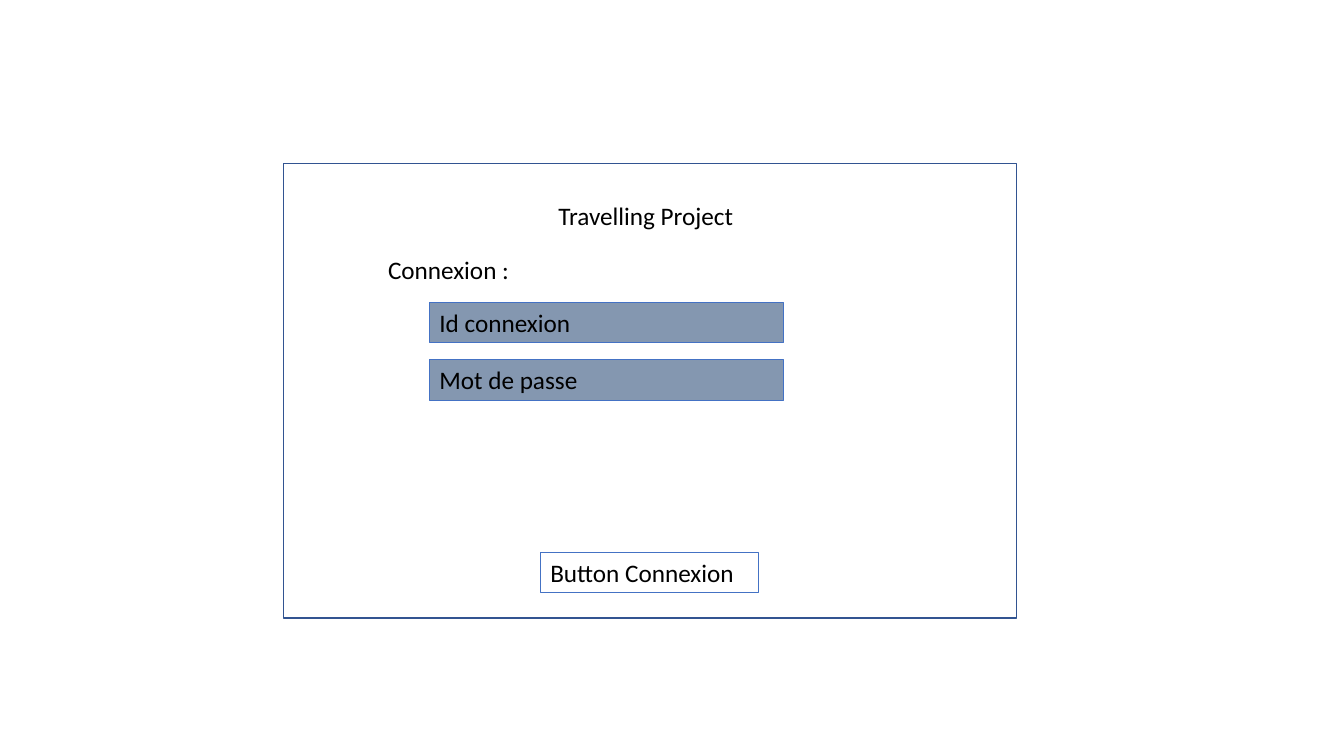
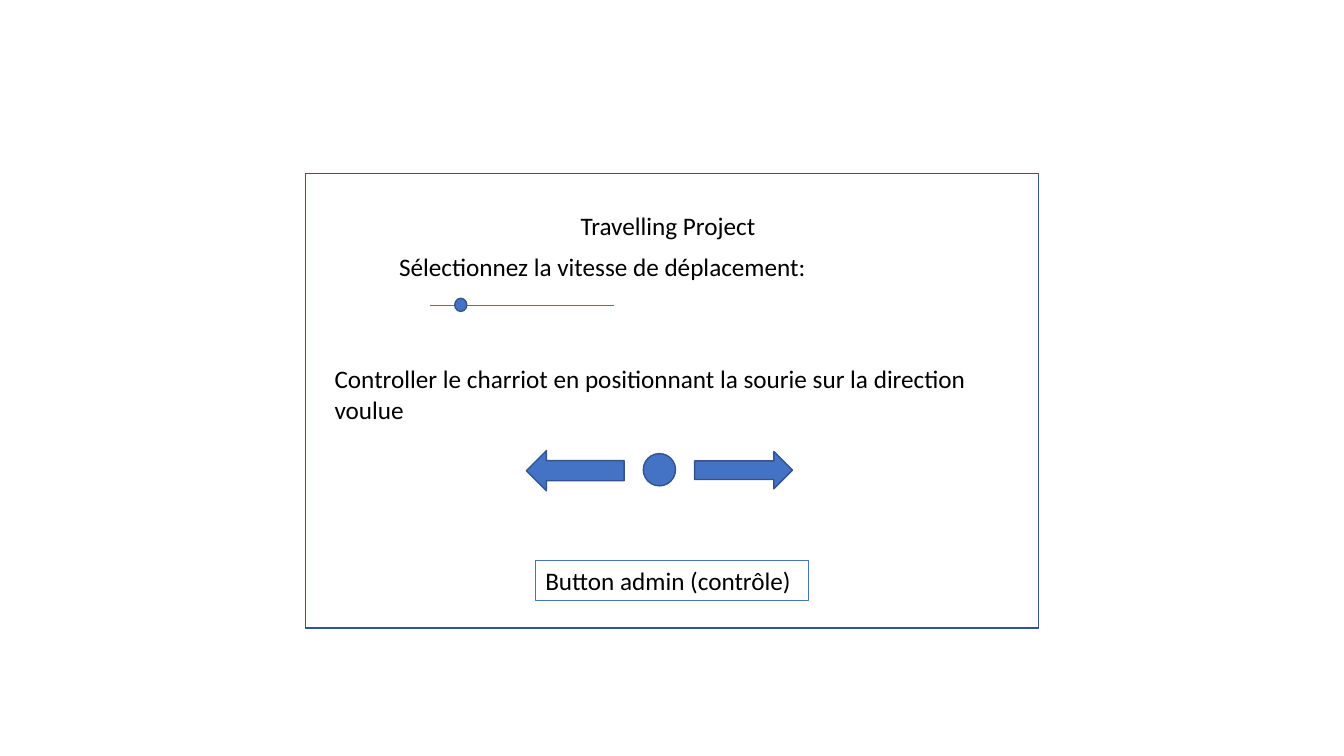
from pptx import Presentation
from pptx.dml.color import RGBColor
from pptx.enum.shapes import MSO_CONNECTOR, MSO_SHAPE
from pptx.enum.text import MSO_AUTO_SIZE
from pptx.oxml.ns import qn
from pptx.util import Inches, Pt
from lxml import etree

RECT = MSO_SHAPE.RECTANGLE
OVAL = MSO_SHAPE.OVAL
LEFT = MSO_SHAPE.LEFT_ARROW
RIGHT = MSO_SHAPE.RIGHT_ARROW
LINE = MSO_CONNECTOR.STRAIGHT
GROW = MSO_AUTO_SIZE.SHAPE_TO_FIT_TEXT

WHITE, BLACK = "FFFFFF", "000000"
BLUE, NAVY, SLATE = "4472C4", "325491", "8497B0"
FONT, SIZE, ROW = "Calibri", 18, 0.4

rgb = RGBColor.from_string


def draw(slide, kind, x, y, w, h, fill):
    shape = slide.shapes.add_shape(kind, Inches(x), Inches(y), Inches(w), Inches(h))
    shape.shadow.inherit = False
    shape.fill.solid()
    shape.fill.fore_color.rgb = rgb(fill)
    shape.line.color.rgb = rgb(NAVY)
    shape.line.width = Pt(1)


def write(slide, text, x, y, w, h=ROW, fill=None, edge=None):
    box = slide.shapes.add_textbox(Inches(x), Inches(y), Inches(w), Inches(h))
    if fill:
        box.fill.solid()
        box.fill.fore_color.rgb = rgb(fill)
    if edge:
        box.line.color.rgb = rgb(edge)
        box.line.width = Pt(0.75)
    frame = box.text_frame
    frame.word_wrap = True
    frame.auto_size = GROW
    run = frame.paragraphs[0].add_run()
    run.text = text
    run.font.name = FONT
    run.font.size = Pt(SIZE)
    run.font.color.rgb = rgb(BLACK)


deck = Presentation()
deck.slide_width, deck.slide_height = Inches(13.33), Inches(7.5)

pages = []
for x, y, label, left, top, width in [
    (2.81, 1.62, "Button Connexion", 5.36, 5.48, 2.16),
    (3.03, 1.72, "Button admin (contrôle)", 5.31, 5.56, 2.71),
]:
    page = deck.slides.add_slide(deck.slide_layouts[6])
    draw(page, RECT, x, y, 7.27, 4.51, WHITE)
    write(page, "Travelling Project", x + 2.63, y + 0.32, 2)
    write(page, label, left, top, width, edge=BLUE)
    pages.append(page)
login, control = pages

write(login, "Connexion :", 3.75, 2.47, 5.18)
for i, field in enumerate(["Id connexion", "Mot de passe"]):
    write(login, field, 4.26, 3 + 0.57 * i, 3.51, fill=SLATE, edge=BLUE)

write(control, "Sélectionnez la vitesse de déplacement:", 3.86, 2.44, 4.42)
write(control, "Controller le charriot en positionnant la sourie sur la direction voulue",
      3.22, 3.56, 6.93, 0.71)

track = control.shapes.add_connector(
    LINE, Inches(4.26), Inches(3.03), Inches(6.09), Inches(3.03))
track.line.color.rgb = rgb(BLUE)
track.line.width = Pt(0.5)
etree.SubElement(track._element.spPr, qn("a:effectLst"))

for kind, x, y, w, h in [
    (OVAL, 4.51, 2.96, 0.12, 0.13),
    (LEFT, 5.22, 4.47, 0.97, 0.4),
    (OVAL, 6.38, 4.5, 0.32, 0.32),
    (RIGHT, 6.89, 4.48, 0.97, 0.37),
]:
    draw(control, kind, x, y, w, h, BLUE)

deck.save("out.pptx")
